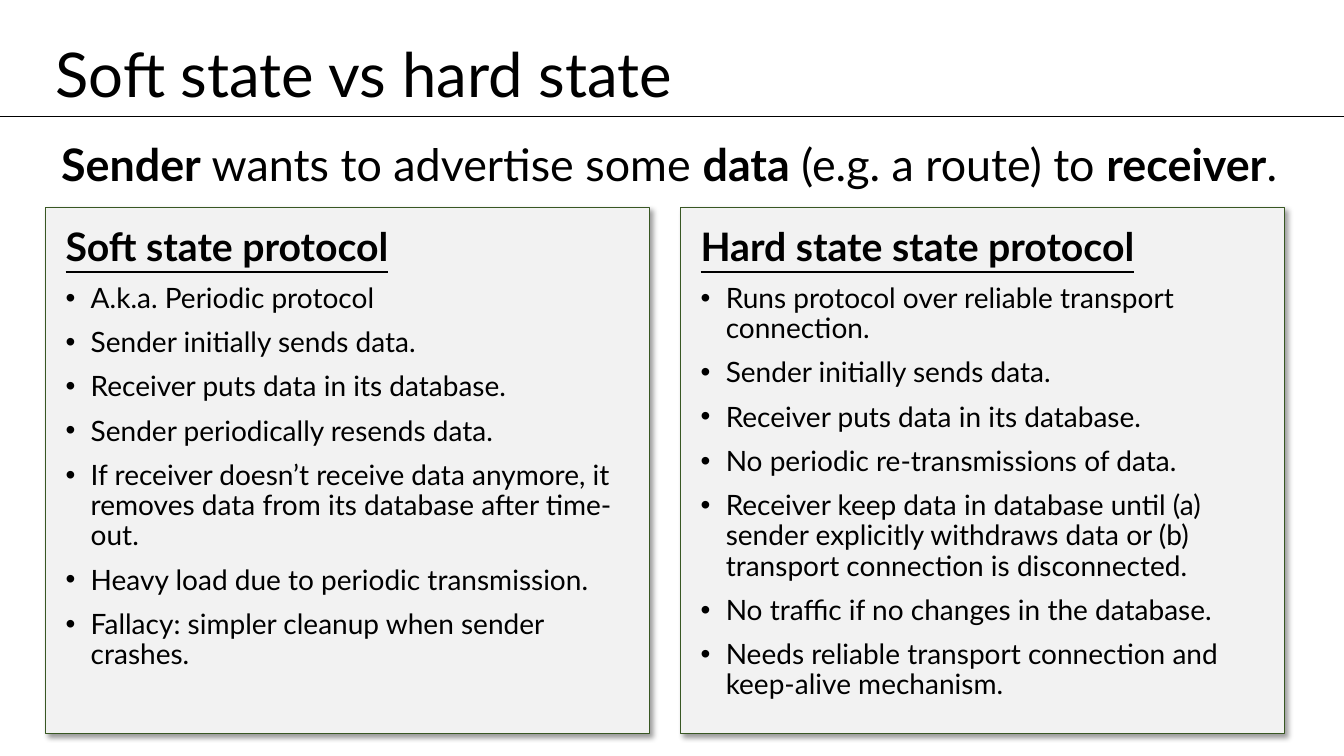
from lxml.etree import SubElement
from pptx import Presentation
from pptx.dml.color import RGBColor
from pptx.enum.shapes import MSO_CONNECTOR
from pptx.enum.text import MSO_ANCHOR, MSO_AUTO_SIZE, PP_ALIGN
from pptx.oxml import parse_xml
from pptx.oxml.ns import qn
from pptx.util import Pt

BLACK = RGBColor(0x00, 0x00, 0x00)
PANEL_GREY = RGBColor(0xF2, 0xF2, 0xF2)
PANEL_GREEN = RGBColor(0x38, 0x57, 0x23)

HEADING = {"size": Pt(28), "bold": True, "underline": True}
BULLET = {"size": Pt(20), "bold": False, "underline": False}
PANEL_FRAME = {
    "margin_left": Pt(14.4), "margin_top": Pt(14.4),
    "margin_right": Pt(14.4), "margin_bottom": Pt(14.4),
    "vertical_anchor": MSO_ANCHOR.TOP,
    "auto_size": MSO_AUTO_SIZE.NONE, "word_wrap": True,
}
PANEL_SHADOW = (
    '<a:effectLst xmlns:a="http://schemas.openxmlformats.org/drawingml/2006/main">'
    '<a:outerShdw blurRad="50800" dist="38100" dir="2700000" algn="tl" rotWithShape="0">'
    '<a:srgbClr val="000000"><a:alpha val="40000"/></a:srgbClr>'
    '</a:outerShdw></a:effectLst>'
)

PROTOCOLS = [
    ("Soft state protocol", [
        "A.k.a. Periodic protocol",
        "Sender initially sends data.",
        "Receiver puts data in its database.",
        "Sender periodically resends data.",
        "If receiver doesn’t receive data anymore, it removes data from its database after time-out.",
        "Heavy load due to periodic transmission.",
        "Fallacy: simpler cleanup when sender crashes.",
    ]),
    ("Hard state state protocol", [
        "Runs protocol over reliable transport connection.",
        "Sender initially sends data.",
        "Receiver puts data in its database.",
        "No periodic re-transmissions of data.",
        "Receiver keep data in database until (a) sender explicitly withdraws data or (b) transport connection is disconnected.",
        "No traffic if no changes in the database.",
        "Needs reliable transport connection and keep-alive mechanism.",
    ]),
]


def add_words(paragraph, words, font_format):
    run = paragraph.add_run()
    run.text = words
    run.font.name = "Lato"
    run.font.color.rgb = BLACK
    for name, value in font_format.items():
        setattr(run.font, name, value)


def place(box, left, top, width, height):
    box.left, box.top, box.width, box.height = Pt(left), Pt(top), Pt(width), Pt(height)


presentation = Presentation()
presentation.slide_width = Pt(960)
presentation.slide_height = Pt(540)
slide = presentation.slides.add_slide(presentation.slide_layouts.get_by_name("Two Content"))

title_rule = slide.shapes.add_connector(MSO_CONNECTOR.STRAIGHT, Pt(0), Pt(82.8), Pt(960), Pt(82.8))
title_rule.line.color.rgb = BLACK
title_rule.line.width = Pt(0.5)
SubElement(title_rule._element.spPr, qn("a:effectLst"))

title = slide.shapes.title
place(title, 32.4, 26, 892, 58.3)
title.text_frame.vertical_anchor = MSO_ANCHOR.MIDDLE
title.text_frame.auto_size = MSO_AUTO_SIZE.NONE
heading_line = title.text_frame.paragraphs[0]
heading_line.alignment = PP_ALIGN.LEFT
heading_line.line_spacing = 0.9
add_words(heading_line, "Soft state vs hard state", {"size": Pt(44)})

premise = slide.shapes.add_textbox(Pt(10), Pt(98.6), Pt(936), Pt(65.5))
premise.text_frame.word_wrap = True
premise_line = premise.text_frame.paragraphs[0]
premise_line.alignment = PP_ALIGN.CENTER
premise_line.line_spacing = 0.9
for words, bold in [
    ("Sender", True), (" wants to advertise some ", False), ("data", True),
    (" (e.g. a route) to ", False), ("receiver", True), (".", False),
]:
    add_words(premise_line, words, {"size": Pt(32), "bold": bold})

for column, (protocol, properties) in enumerate(PROTOCOLS):
    panel = slide.placeholders[column + 1]
    place(panel, 32.4 + column * 453.6, 148.3, 431.3, 375.8)
    panel.fill.solid()
    panel.fill.fore_color.rgb = PANEL_GREY
    panel.line.color.rgb = PANEL_GREEN
    panel.line.width = Pt(0.75)
    panel._element.spPr.append(parse_xml(PANEL_SHADOW))
    frame = panel.text_frame
    for name, value in PANEL_FRAME.items():
        setattr(frame, name, value)

    protocol_line = frame.paragraphs[0]
    protocol_format = protocol_line._p.get_or_add_pPr()
    protocol_format.set("marL", "0")
    protocol_format.set("indent", "0")
    SubElement(protocol_format, qn("a:buNone"))
    protocol_line.line_spacing = 0.9
    protocol_line.space_before = Pt(0)
    add_words(protocol_line, protocol, HEADING)

    for statement in properties:
        item = frame.add_paragraph()
        item_format = item._p.get_or_add_pPr()
        item_format.set("marL", str(Pt(18)))
        item_format.set("indent", str(-Pt(18)))
        SubElement(item_format, qn("a:buFont"), typeface="Arial")
        SubElement(item_format, qn("a:buChar"), char="•")
        item.line_spacing = 0.9
        item.space_before = Pt(10)
        add_words(item, statement, BULLET)

presentation.save("out.pptx")
